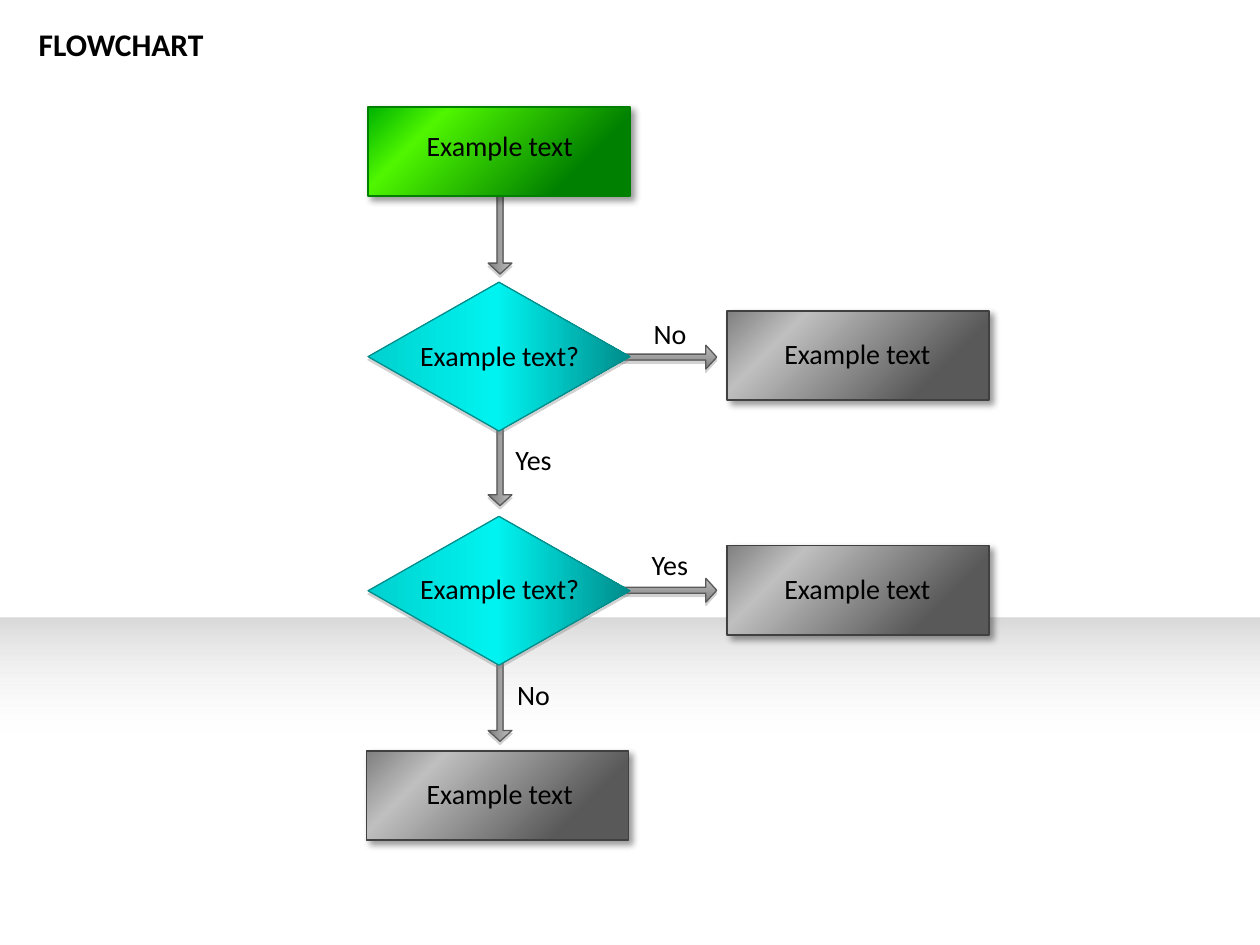
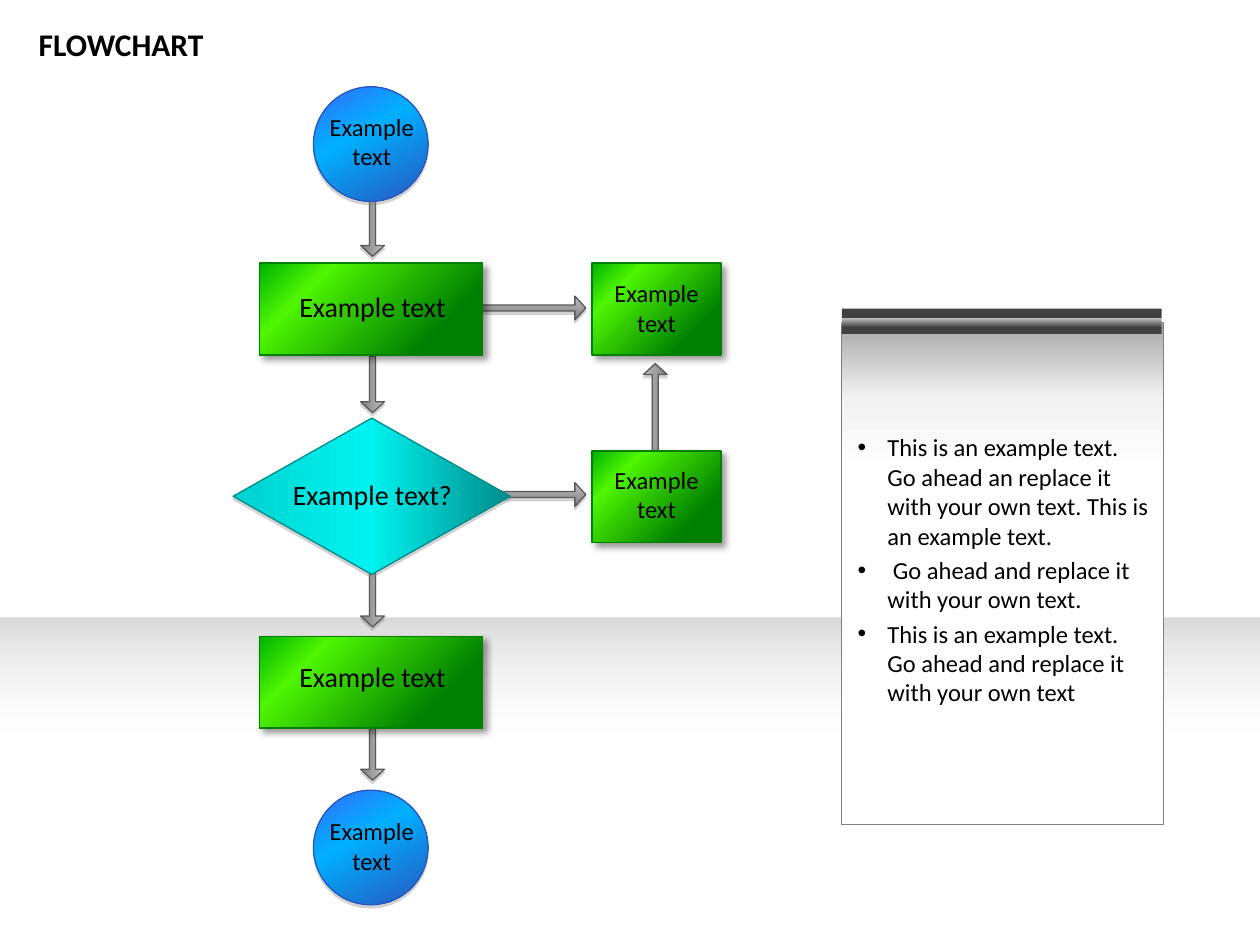
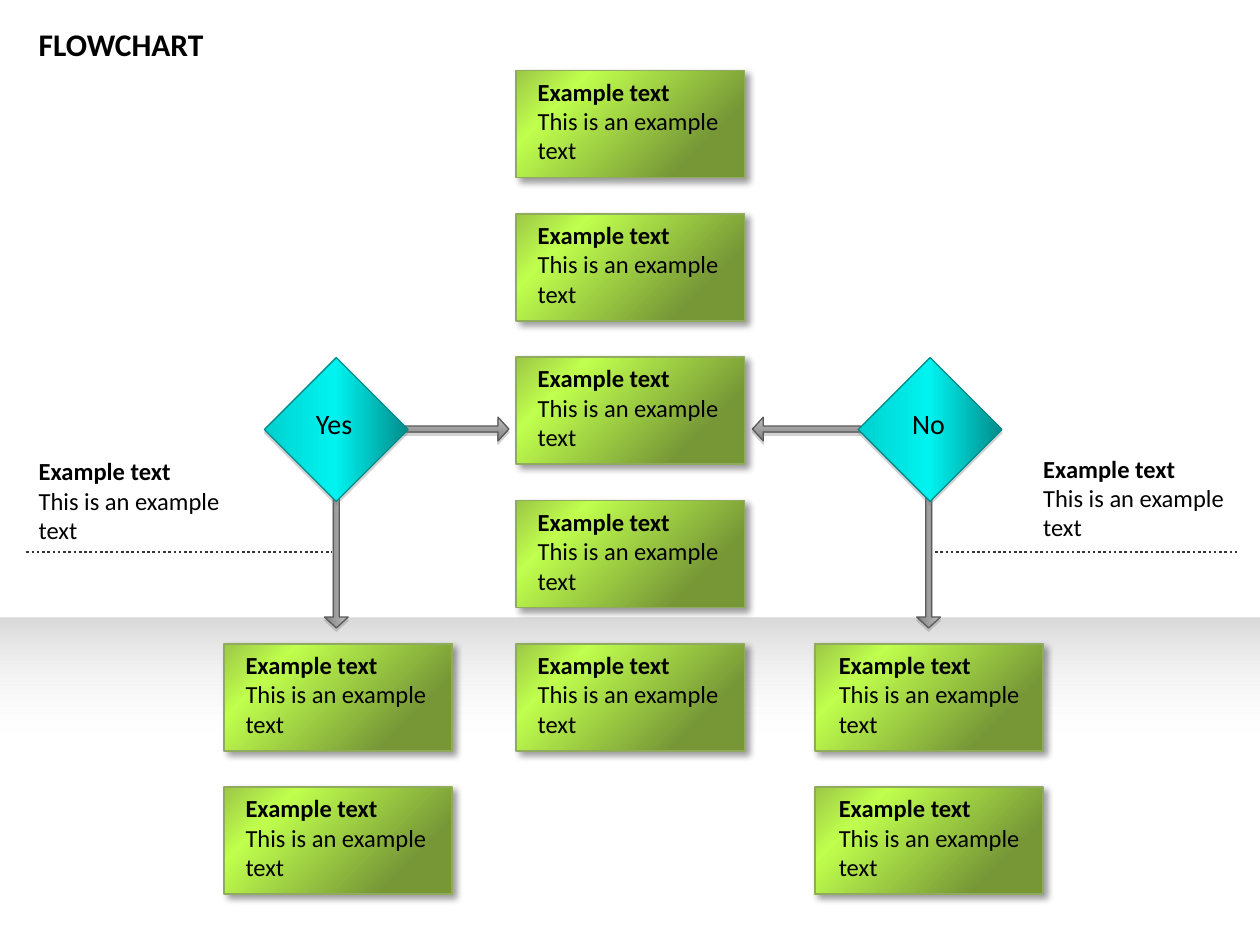
"""Build three flowchart slides with shared shape styles."""
from dataclasses import dataclass
from typing import Optional

from lxml.etree import SubElement
from pptx import Presentation
from pptx.dml.color import RGBColor
from pptx.enum.dml import MSO_LINE
from pptx.enum.shapes import MSO_CONNECTOR, MSO_SHAPE
from pptx.enum.text import MSO_AUTO_SIZE, PP_ALIGN
from pptx.oxml.ns import qn
from pptx.util import Cm, Pt


@dataclass(frozen=True)
class Stop:
    position: int
    color: str
    opacity: int = 100


@dataclass(frozen=True)
class Shadow:
    color: str
    opacity: int
    blur: float
    distance: float
    angle: int


@dataclass(frozen=True)
class Style:
    preset: MSO_SHAPE
    stops: tuple[Stop, ...]
    angle: int = 0
    outline: Optional[str] = None
    outline_width: float = 0.75
    shadow: Optional[Shadow] = None


@dataclass(frozen=True)
class Node:
    style: Style
    left: float
    top: float
    width: float
    height: float


@dataclass(frozen=True)
class Arrow:
    center_x: float
    center_y: float
    length: float
    rotation: int = 0
    flipped: bool = False


@dataclass(frozen=True)
class Caption:
    lines: tuple[str, ...]
    left: float
    top: float
    width: float
    height: float = 0.94
    size: int = 16
    align: PP_ALIGN = PP_ALIGN.CENTER
    heading: bool = False
    bulleted: bool = False


FONT = "Calibri"
EXAMPLE, QUESTION = ("Example text",), ("Example text?",)
ARROW_THICKNESS = 0.48
UNDER = Shadow("808080", 35, 0, 1.8, 90)
CORNER = Shadow("000000", 40, 4, 3, 45)


def box_style(dark: str, bright: str, corner: str, outline: str, bright_at: int = 77) -> Style:
    """Return a glossy rectangle style lit from the upper left."""
    stops = (Stop(22, dark), Stop(bright_at, bright), Stop(100, corner))
    return Style(MSO_SHAPE.RECTANGLE, stops, 225, outline, 1, CORNER)


GREY_BOX = box_style("595959", "BFBFBF", "808080", "404040")
GREEN_BOX = box_style("008000", "4FF600", "00B300", "008000")
OLIVE_BOX = box_style("779737", "C0FF4D", "9DC746", "90AB5E", 78)
DECISION = Style(MSO_SHAPE.DIAMOND, (Stop(0, "00D1CF"), Stop(49, "00F3F0"), Stop(100, "008C8B")),
                 0, "008C8B", shadow=UNDER)
TERMINAL = Style(MSO_SHAPE.OVAL, (Stop(0, "336FFA"), Stop(2, "336FFA"), Stop(40, "00B0FF"),
                                  Stop(100, "2856BF")), 61, "2856BF", shadow=UNDER)
ARROW = Style(MSO_SHAPE.RIGHT_ARROW, (Stop(0, "BFBFBF"), Stop(100, "7F7F7F")),
              90, "595959", shadow=UNDER)
FLOOR = Style(MSO_SHAPE.RECTANGLE, (Stop(61, "FFFFFF", 0), Stop(100, "D9D9D9")), 270)
CARD = Style(MSO_SHAPE.RECTANGLE, (Stop(70, "FFFFFF"), Stop(85, "F2F2F2"), Stop(100, "A6A6A6")),
             270, "808080")
CARD_BAR = Style(MSO_SHAPE.RECTANGLE, (Stop(0, "404040"),))
CARD_GLOSS = Style(MSO_SHAPE.RECTANGLE, (Stop(0, "F3F3F3", 0), Stop(100, "FFFCF9", 79)), 270)


def color(value: str) -> RGBColor:
    """Return the colour for a hex string."""
    return RGBColor.from_string(value)


def add_color(parent, value: str, opacity: int) -> None:
    """Append a colour with an opacity in percent to an XML parent."""
    element = SubElement(parent, qn("a:srgbClr"), val=str(color(value)))
    if opacity < 100:
        SubElement(element, qn("a:alpha"), val=str(opacity * 1000))


def apply_fill(shape, style: Style) -> None:
    """Fill a shape with one colour or with a linear gradient."""
    if len(style.stops) == 1:
        shape.fill.solid()
        shape.fill.fore_color.rgb = color(style.stops[0].color)
        return
    shape.fill.gradient()
    gradient = shape._element.spPr.find(qn("a:gradFill"))
    for child in list(gradient):
        gradient.remove(child)
    stop_list = SubElement(gradient, qn("a:gsLst"))
    for stop in style.stops:
        element = SubElement(stop_list, qn("a:gs"), pos=str(stop.position * 1000))
        add_color(element, stop.color, stop.opacity)
    SubElement(gradient, qn("a:lin"), ang=str(style.angle * 60000), scaled="0")


def apply_shadow(shape, shadow: Optional[Shadow]) -> None:
    """Replace the theme shadow by the given one, or by none."""
    shape.shadow.inherit = False
    if shadow is None:
        return
    effects = shape._element.spPr.find(qn("a:effectLst"))
    outer = SubElement(effects, qn("a:outerShdw"), blurRad=str(Pt(shadow.blur)),
                       dist=str(Pt(shadow.distance)), dir=str(shadow.angle * 60000),
                       algn="tl", rotWithShape="0")
    add_color(outer, shadow.color, shadow.opacity)


def draw_node(slide, node: Node):
    """Draw one styled shape and return it."""
    style = node.style
    shape = slide.shapes.add_shape(style.preset, Cm(node.left), Cm(node.top),
                                   Cm(node.width), Cm(node.height))
    apply_fill(shape, style)
    if style.outline:
        shape.line.color.rgb = color(style.outline)
        shape.line.width = Pt(style.outline_width)
    else:
        shape.line.fill.background()
    apply_shadow(shape, style.shadow)
    return shape


def draw_arrow(slide, arrow: Arrow) -> None:
    """Draw a block arrow around its centre."""
    shape = draw_node(slide, Node(ARROW, arrow.center_x - arrow.length / 2,
                                  arrow.center_y - ARROW_THICKNESS / 2,
                                  arrow.length, ARROW_THICKNESS))
    shape.adjustments[0], shape.adjustments[1] = 0.25, 0.458
    shape.rotation = arrow.rotation
    if arrow.flipped:
        shape._element.spPr.find(qn("a:xfrm")).set("flipH", "1")


def draw_caption(slide, caption: Caption) -> None:
    """Draw a text box with one paragraph per line."""
    box = slide.shapes.add_textbox(Cm(caption.left), Cm(caption.top),
                                   Cm(caption.width), Cm(caption.height))
    frame = box.text_frame
    frame.word_wrap = True
    frame.auto_size = MSO_AUTO_SIZE.SHAPE_TO_FIT_TEXT
    for index, line in enumerate(caption.lines):
        paragraph = frame.paragraphs[0] if index == 0 else frame.add_paragraph()
        paragraph.alignment = caption.align
        run = paragraph.add_run()
        run.text = line
        formats = {"name": FONT, "size": Pt(caption.size),
                   "bold": caption.heading and index == 0}
        for name, value in formats.items():
            setattr(run.font, name, value)
        run.font.color.rgb = color("000000")
        if caption.bulleted:
            paragraph.space_before = Pt(2.8)
            properties = paragraph._p.get_or_add_pPr()
            properties.set("marL", str(Cm(0.6)))
            properties.set("indent", str(-Cm(0.6)))
            SubElement(properties, qn("a:buFont"), typeface="Arial")
            SubElement(properties, qn("a:buChar"), char="•")


def draw_dotted_line(slide, left: float, right: float, top: float) -> None:
    """Draw a horizontal dotted line."""
    connector = slide.shapes.add_connector(MSO_CONNECTOR.STRAIGHT, Cm(left), Cm(top),
                                           Cm(right), Cm(top))
    for name, value in {"width": Pt(1.5), "dash_style": MSO_LINE.ROUND_DOT}.items():
        setattr(connector.line, name, value)
    connector.line.color.rgb = color("353637")
    SubElement(connector._element.spPr, qn("a:effectLst"))


def add_flowchart(presentation, arrows: list[Arrow], nodes: list[Node],
                  captions: list[Caption]):
    """Add a slide with the floor band, the title and a flowchart."""
    slide = presentation.slides.add_slide(presentation.slide_layouts[6])
    draw_node(slide, Node(FLOOR, 0, 12.45, 25.4, 6.6))
    draw_caption(slide, Caption(("FLOWCHART",), 0.53, 0.38, 4.17, 1.02, 18,
                                PP_ALIGN.LEFT, heading=True))
    for arrow in arrows:
        draw_arrow(slide, arrow)
    for node in nodes:
        draw_node(slide, node)
    for caption in captions:
        draw_caption(slide, caption)
    return slide


def detail(left: float, top: float) -> Caption:
    """Return a bold heading with an example sentence below it."""
    return Caption(("Example text", "This is an example text"), left, top, 4.22, 2.06, 14,
                   PP_ALIGN.LEFT, heading=True)


def build_two_questions(presentation) -> None:
    """Build the flowchart with two decisions in a column."""
    width, height = 5.28, 1.8
    arrows = [Arrow(13.36, y, 2.18) for y in (7.2, 11.9)]
    arrows += [Arrow(10.08, y, 1.73, 90) for y in (4.66, 9.33, 14.08)]
    nodes = [Node(DECISION, 7.42, top, width, 3) for top in (5.69, 10.41)]
    nodes += [Node(style, left, top, width, height) for style, left, top in (
        (GREEN_BOX, 7.42, 2.16), (GREY_BOX, 7.39, 15.14),
        (GREY_BOX, 14.66, 6.27), (GREY_BOX, 14.66, 11))]
    captions = [Caption((text,), left, top, 1.35) for text, left, top in (
        ("No", 12.83, 6.25), ("Yes", 10.08, 8.79), ("Yes", 12.83, 10.92), ("No", 10.08, 13.54))]
    captions += [Caption(lines, left, top, 3.99) for lines, left, top in (
        (EXAMPLE, 8.08, 2.46), (QUESTION, 8.08, 6.71), (QUESTION, 8.08, 11.4),
        (EXAMPLE, 8.08, 15.52), (EXAMPLE, 15.29, 6.65), (EXAMPLE, 15.29, 11.4))]
    add_flowchart(presentation, arrows, nodes, captions)


def build_process_with_note(presentation) -> None:
    """Build the process flowchart with a note card at the right."""
    arrows = [Arrow(13.21, 8.42, 2.18, 270)]
    arrows += [Arrow(10.72, y, 2.18) for y in (6.21, 9.97)]
    arrows += [Arrow(7.51, y, 1.14, 90) for y in (4.6, 7.75, 12.07, 15.16)]
    nodes = [Node(TERMINAL, 6.32, top, 2.31, 2.31) for top in (1.75, 15.93)]
    nodes += [Node(GREEN_BOX, 5.23, top, 4.5, 1.85) for top in (5.31, 12.83)]
    nodes += [Node(GREEN_BOX, 11.94, top, 2.59, 1.85) for top in (5.31, 9.09)]
    nodes += [Node(DECISION, 4.7, 8.43, 5.59, 3.15),
              Node(CARD, 16.97, 6.5, 6.48, 10.13),
              Node(CARD_BAR, 16.97, 6.22, 6.45, 0.51),
              Node(CARD_GLOSS, 16.97, 6.43, 6.45, 0.15)]
    captions = [Caption(lines, 5.4, top, 4.22) for lines, top in (
        (EXAMPLE, 5.72), (QUESTION, 9.5), (EXAMPLE, 13.18))]
    captions += [Caption(EXAMPLE, left, top, 2.59, 1.45, 14) for left, top in (
        (6.2, 2.13), (6.2, 16.33), (11.94, 5.49), (11.94, 9.25))]
    note = ("This is an example text. Go ahead an replace it with your own text. "
            "This is an example text.",
            " Go ahead and replace it with your own text.",
            "This is an example text. Go ahead and replace it with your own text")
    captions.append(Caption(note, 17.04, 8.59, 6.38, 6.6, 14, PP_ALIGN.LEFT, bulleted=True))
    add_flowchart(presentation, arrows, nodes, captions)


def build_branches(presentation) -> None:
    """Build the flowchart with a central column and two branches."""
    first_top, row_step = 1.42, 2.89
    arrows = [Arrow(16.26, 8.65, 2.18, flipped=True), Arrow(9.17, 8.65, 2.18)]
    arrows += [Arrow(x, 11.29, 2.74, 90) for x in (6.78, 18.72)]
    nodes, captions = [], []
    for left, text_left, rows in ((10.41, 10.59, range(5)), (4.52, 4.7, range(4, 6)),
                                  (16.43, 16.66, range(4, 6))):
        for row in rows:
            top = first_top + row * row_step
            nodes.append(Node(OLIVE_BOX, left, top, 4.6, 2.16))
            captions.append(detail(text_left, top))
    nodes += [Node(DECISION, left, 7.21, 2.9, 2.9) for left in (5.33, 17.3)]
    captions += [Caption((text,), left, 8.08, 1.35, align=PP_ALIGN.LEFT)
                 for text, left in (("Yes", 6.12), ("No", 18.14))]
    captions += [detail(0.53, 9.07), detail(20.78, 9.02)]
    slide = add_flowchart(presentation, arrows, nodes, captions)
    for left, right in ((0.53, 6.68), (18.85, 24.99)):
        draw_dotted_line(slide, left, right, 11.13)


def main() -> None:
    """Build and save the presentation."""
    presentation = Presentation()
    for name, value in {"slide_width": Cm(25.4), "slide_height": Cm(19.05)}.items():
        setattr(presentation, name, value)
    build_two_questions(presentation)
    build_process_with_note(presentation)
    build_branches(presentation)
    presentation.save("out.pptx")


main()
